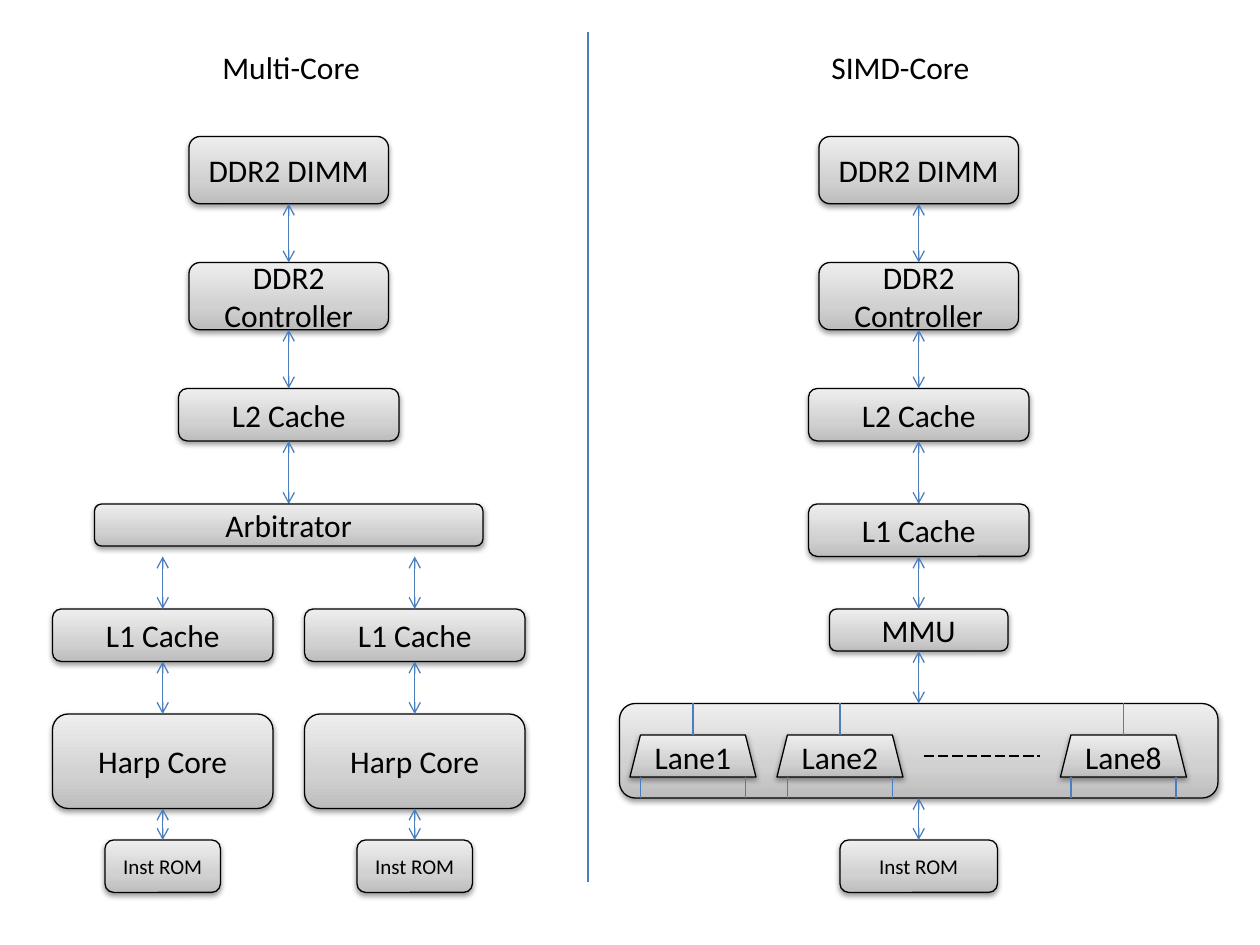
from copy import deepcopy

from pptx import Presentation
from pptx.dml.color import RGBColor
from pptx.enum.dml import MSO_LINE
from pptx.enum.shapes import MSO_CONNECTOR, MSO_SHAPE
from pptx.enum.text import MSO_ANCHOR, PP_ALIGN
from pptx.oxml import parse_xml
from pptx.oxml.ns import nsdecls, qn
from pptx.oxml.xmlchemy import OxmlElement
from pptx.util import Inches, Pt

BLACK = RGBColor(0x00, 0x00, 0x00)
BLUE = RGBColor(0x4B, 0x7E, 0xBC)
GRADIENT = (
    (0, RGBColor(0xBD, 0xBD, 0xBD)),
    (0.35, RGBColor(0xD1, 0xD1, 0xD1)),
    (1, RGBColor(0xEE, 0xEE, 0xEE)),
)
FONT = "Calibri"
CELLS_PER_INCH = 12
SHADOW = (
    f'<a:outerShdw {nsdecls("a")} blurRad="40000" dist="20000" dir="5400000" '
    'rotWithShape="0"><a:srgbClr val="000000"><a:alpha val="38000"/>'
    "</a:srgbClr></a:outerShdw>"
)


def cells(*counts):
    """Turn grid counts into lengths."""
    return [Inches(count / CELLS_PER_INCH) for count in counts]


class Diagram:
    """Draws block diagram elements on one slide, in grid cells."""

    def __init__(self, page):
        self.shapes = page.shapes

    def label(self, shape, text, size):
        """Set a single paragraph and format it."""
        shape.text_frame.text = text
        para = shape.text_frame.paragraphs[0]
        for span in para.runs:
            span.font.name = FONT
            span.font.size = Pt(size)
            span.font.color.rgb = BLACK
        return para

    def block(self, center, row, width, height, text="", size=18,
              kind=MSO_SHAPE.ROUNDED_RECTANGLE):
        """Draw a grey block centred on a column."""
        box = self.shapes.add_shape(
            kind, *cells(center - width / 2, row, width, height))
        box.fill.gradient()
        box.fill.gradient_angle = 90
        stops = box._element.spPr.find(f"{qn('a:gradFill')}/{qn('a:gsLst')}")
        stops.insert(1, deepcopy(stops[0]))
        for stop, (position, color) in zip(box.fill.gradient_stops, GRADIENT):
            stop.position = position
            stop.color.rgb = color
        box.line.color.rgb = BLACK
        box.line.width = Pt(0.75)
        box.shadow.inherit = False
        box._element.spPr.find(qn("a:effectLst")).append(parse_xml(SHADOW))
        if text:
            box.text_frame.vertical_anchor = MSO_ANCHOR.MIDDLE
            self.label(box, text, size).alignment = PP_ALIGN.CENTER

    def line(self, start, end, color=BLUE, dash=None, arrows=False):
        """Draw a thin line between two (column, row) points."""
        link = self.shapes.add_connector(
            MSO_CONNECTOR.STRAIGHT, *cells(*start, *end))
        link.line.color.rgb = color
        link.line.width = Pt(0.75)
        if dash:
            link.line.dash_style = dash
        if arrows:
            for tag in ("a:headEnd", "a:tailEnd"):
                tip = OxmlElement(tag)
                tip.set("type", "arrow")
                link._element.spPr.find(qn("a:ln")).append(tip)
        link._element.spPr.append(OxmlElement("a:effectLst"))

    def arrows(self, column, *spans):
        """Draw vertical double arrows down one column."""
        for top, bottom in spans:
            self.line((column, top), (column, bottom), arrows=True)

    def heading(self, column, text):
        """Name one half of the slide."""
        box = self.shapes.add_textbox(*cells(column, 4, 17, 4.8))
        box.text_frame.word_wrap = True
        self.label(box, text, 18)

    def memory(self, center):
        """Draw the memory chain that both designs share."""
        self.block(center, 13, 19, 6.4, "DDR2 DIMM")
        self.block(center, 25, 19, 6.4, "DDR2 Controller")
        self.block(center, 37, 21, 5, "L2 Cache")
        self.arrows(center, (19.4, 25), (31.4, 37), (42, 48))

    def core(self, center):
        """Draw one core with its cache and instruction memory."""
        self.block(center, 58, 21, 5, "L1 Cache")
        self.block(center, 68, 21, 9, "Harp Core")
        self.block(center, 80, 11, 5, "Inst ROM", 12)
        self.arrows(center, (53, 58), (63, 68), (77, 80))

    def lane(self, center, text):
        """Draw one lane with its input and two outputs."""
        self.block(center, 70, 12, 4, text, kind=MSO_SHAPE.TRAPEZOID)
        self.line((center, 67), (center, 70))
        for column in (center - 5, center + 5):
            self.line((column, 74), (column, 76))


deck = Presentation()
deck.slide_width, deck.slide_height = Inches(10), Inches(7.5)
diagram = Diagram(deck.slides.add_slide(deck.slide_layouts[6]))

MULTI, SIMD = 27.5, 87.5
diagram.heading(20, "Multi-Core")
diagram.heading(78, "SIMD-Core")
diagram.line((56, 3), (56, 84))
for middle in (MULTI, SIMD):
    diagram.memory(middle)

diagram.block(MULTI, 48, 37, 4, "Arbitrator")
for offset in (-12, 12):
    diagram.core(MULTI + offset)

diagram.block(SIMD, 48, 21, 5, "L1 Cache")
diagram.block(SIMD, 58, 17, 4, "MMU")
diagram.block(SIMD, 67, 57, 9)
diagram.block(SIMD, 80, 15, 5, "Inst ROM", 12)
diagram.arrows(SIMD, (53, 58), (62, 67), (76, 80))
for lane_center, number in ((66, 1), (80, 2), (107, 8)):
    diagram.lane(lane_center, f"Lane{number}")
diagram.line((88, 72), (99, 72), BLACK, MSO_LINE.LONG_DASH)

deck.save("out.pptx")
